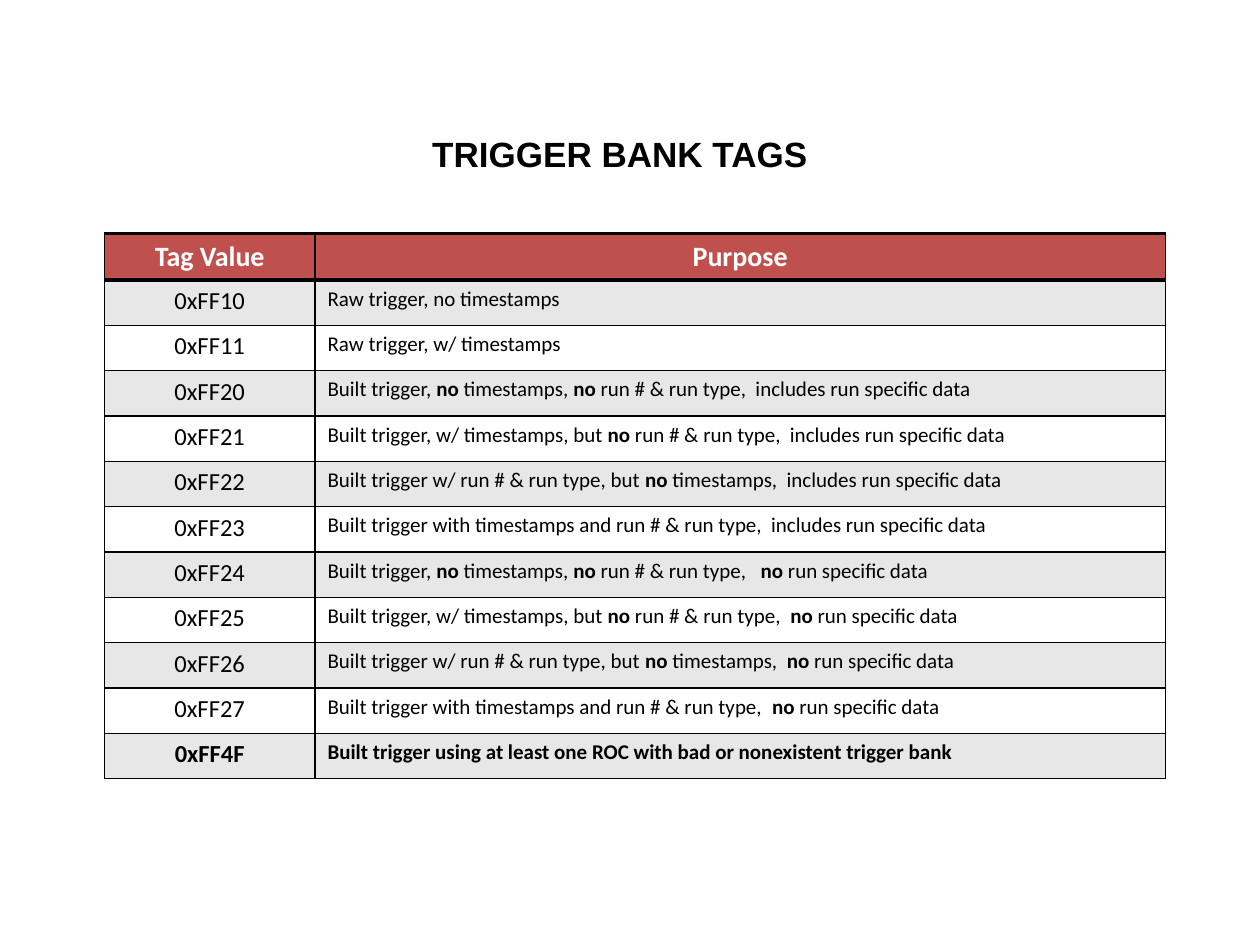
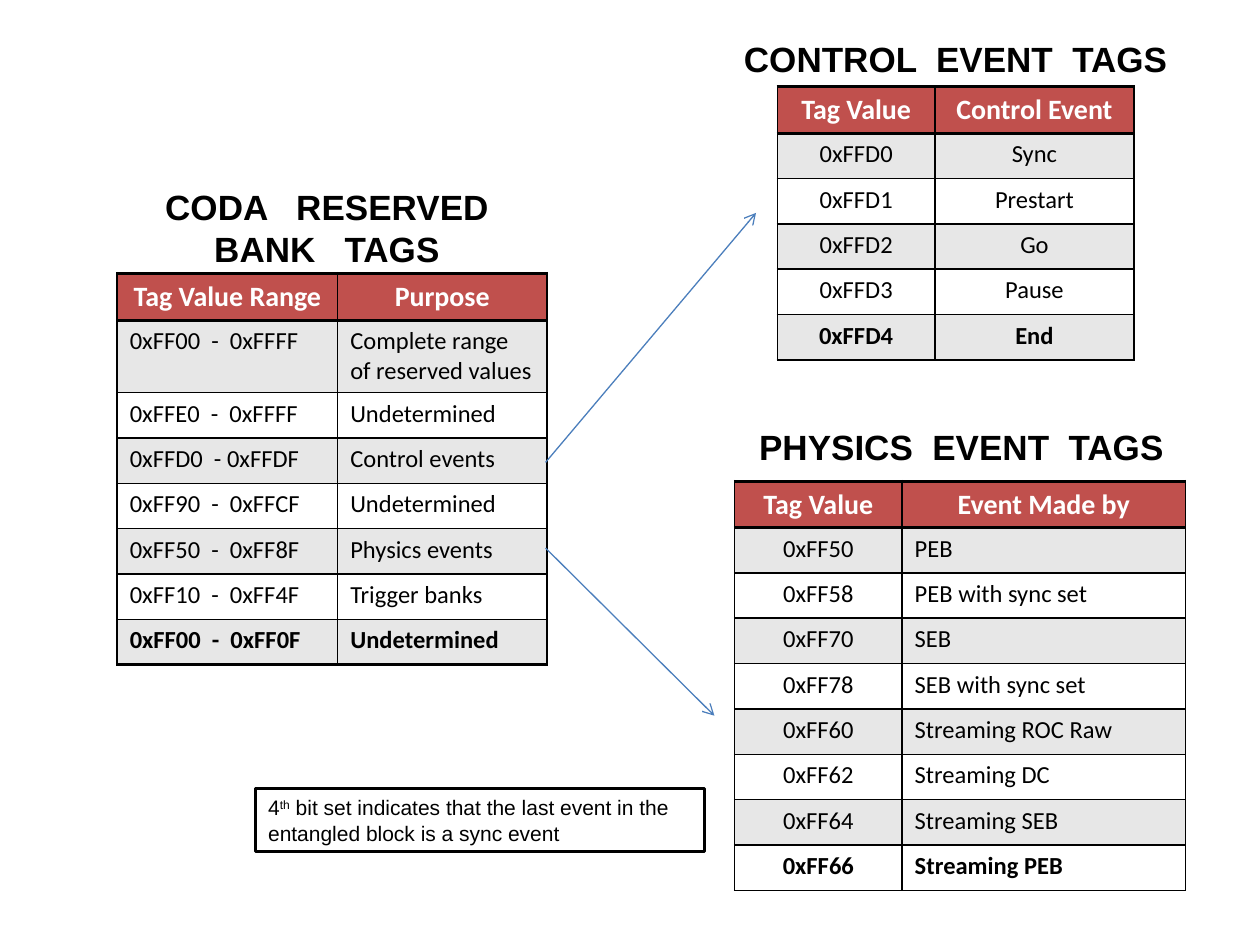
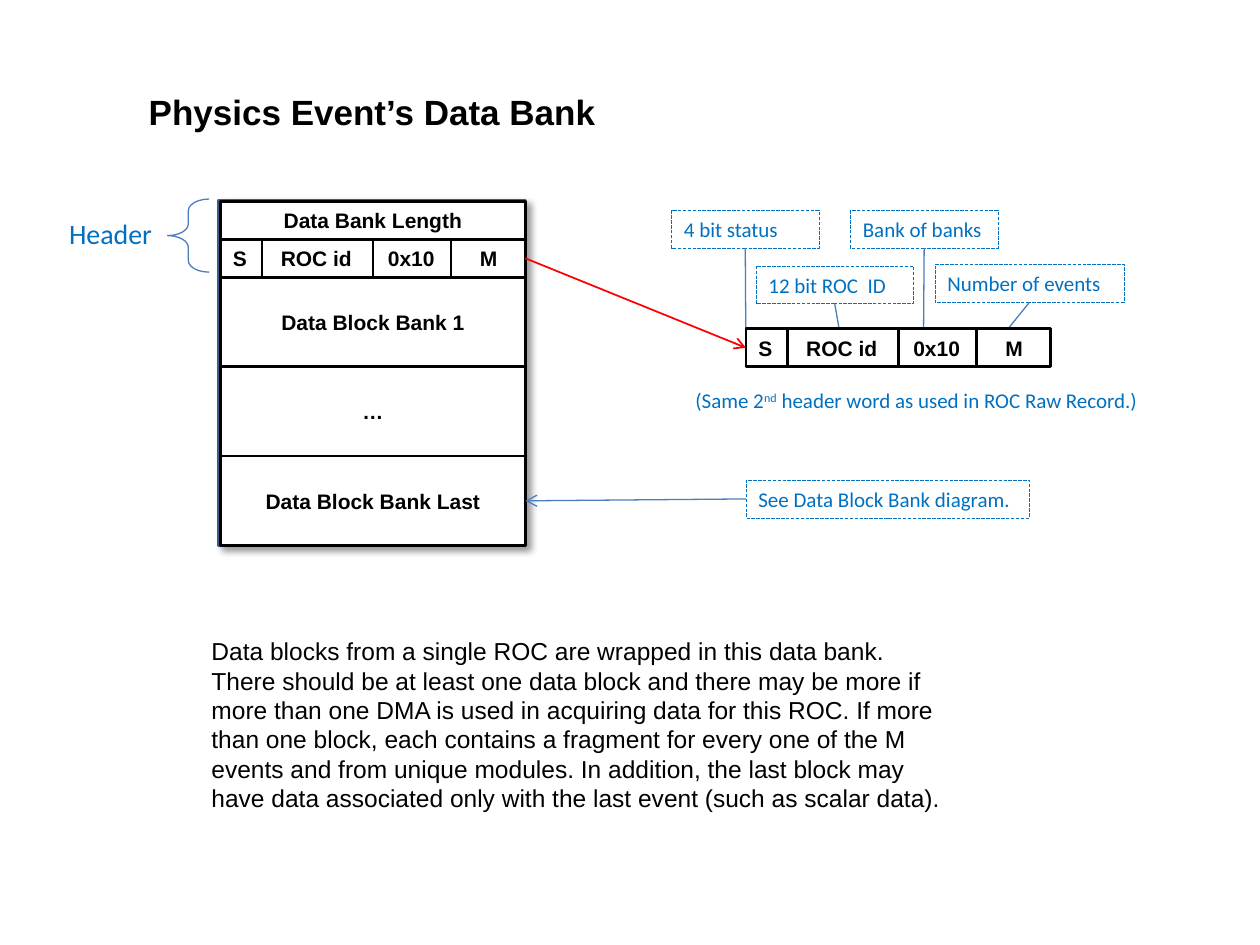
import dataclasses

import pptx
import pptx.dml.color
import pptx.enum.dml
import pptx.enum.shapes
import pptx.enum.text
import pptx.oxml.ns
import pptx.util
from lxml import etree

Inches = pptx.util.Inches
Pt = pptx.util.Pt
RGB = pptx.dml.color.RGBColor.from_string
SHAPE = pptx.enum.shapes.MSO_SHAPE
ALIGN = {"l": pptx.enum.text.PP_ALIGN.LEFT, "c": pptx.enum.text.PP_ALIGN.CENTER}
ANCHOR = pptx.enum.text.MSO_ANCHOR
TOP, LEFT, BOTTOM, RIGHT = range(4)


@dataclasses.dataclass(frozen=True)
class Style:
    size: int
    font: str
    color: str
    bold: bool = False
    align: str = "l"
    shadow: bool = False
    raised: bool = False


@dataclasses.dataclass(frozen=True)
class Theme:
    black: str = "000000"
    white: str = "FFFFFF"
    header: str = "C0504D"
    band: str = "E7E7E7"
    note: str = "0070C0"
    link: str = "4B7EBC"
    alert: str = "FF0000"
    frame: str = "3A5F8C"
    title: Style = Style(20, "Arial", "000000", True, "c", shadow=True)
    head_cell: Style = Style(16, "Calibri", "FFFFFF", True, "c")
    cell: Style = Style(14, "Calibri", "000000")
    small_cell: Style = Style(12, "Calibri", "000000")
    block: Style = Style(12, "Arial", "000000", True, "c")
    strip: Style = Style(12, "Arial", "000000", True)
    remark: Style = Style(12, "Arial", "000000", raised=True)
    body: Style = Style(14, "Arial", "000000")
    label: Style = Style(12, "Calibri", "0070C0", raised=True)
    big_label: Style = Style(16, "Calibri", "0070C0")
    row: float = 0.36


def element(tag, parent, **attrs):
    return etree.SubElement(parent, pptx.oxml.ns.qn(tag), attrs)


def add_shadow(effects, alpha):
    shadow = element("a:outerShdw", effects, blurRad=str(Pt(4)), dist=str(Pt(3)),
                     dir="2700000", algn="tl", rotWithShape="0")
    color = element("a:srgbClr", shadow, val="000000")
    element("a:alpha", color, val=str(alpha * 1000))


class Deck:
    def __init__(self, theme):
        self.theme = theme
        self.prs = pptx.Presentation()
        self.prs.slide_width, self.prs.slide_height = Inches(10), Inches(7.5)
        self.s = None

    def slide(self, title, box, align="c"):
        self.s = self.prs.slides.add_slide(self.prs.slide_layouts[5])
        sp = self.s.shapes.title
        sp.left, sp.top, sp.width, sp.height = map(Inches, box)
        sp.text_frame.auto_size = pptx.enum.text.MSO_AUTO_SIZE.NONE
        sp.text_frame.vertical_anchor = ANCHOR.TOP
        self.set_text(sp.text_frame, title, dataclasses.replace(self.theme.title, align=align))

    def set_text(self, tf, text, style):
        tf.word_wrap = True
        tf.text = text
        for p in tf.paragraphs:
            first, *rest = p.text.split("*")
            p.text = first
            for part in rest:
                p.add_run().text = part
            p.alignment = ALIGN[style.align]
            for i, r in enumerate(p.runs):
                self.style_run(r, style, i % 2 == 1)

    def style_run(self, r, style, marked):
        r.font.size = Pt(style.size)
        r.font.name = style.font
        r.font.bold = style.bold or (marked and not style.raised)
        r.font.color.rgb = RGB(style.color)
        rpr = r.font._element
        if marked and style.raised:
            rpr.set("baseline", "30000")
        if style.shadow:
            effects = element("a:effectLst", rpr)
            add_shadow(effects, 43)
            rpr.find(pptx.oxml.ns.qn("a:solidFill")).addnext(effects)

    def text(self, text, box, style):
        sp = self.s.shapes.add_textbox(*map(Inches, box))
        self.set_text(sp.text_frame, text, style)

    def shape(self, box, color, width, fill=None, kind=SHAPE.RECTANGLE):
        sp = self.s.shapes.add_shape(kind, *map(Inches, box))
        sp.shadow.inherit = False
        if fill:
            sp.fill.solid()
            sp.fill.fore_color.rgb = RGB(fill)
        else:
            sp.fill.background()
        sp.line.color.rgb = RGB(color)
        sp.line.width = Pt(width)
        return sp

    def frame(self, box):
        sp = self.shape(box, self.theme.frame, 2, self.theme.white)
        add_shadow(sp._element.spPr.find(pptx.oxml.ns.qn("a:effectLst")), 40)

    def block(self, text, box, style, fill=None):
        sp = self.shape(box, self.theme.black, 1.5, fill)
        sp.text_frame.vertical_anchor = ANCHOR.MIDDLE
        self.set_text(sp.text_frame, text, style)
        return sp

    def note(self, text, x, y, width):
        sp = self.shape((x, y, width, 0.3), self.theme.note, 0.25, self.theme.white)
        sp.line.dash_style = pptx.enum.dml.MSO_LINE.LONG_DASH
        self.set_text(sp.text_frame, text, self.theme.label)
        return sp

    def brace(self, box):
        sp = self.shape(box, self.theme.link, 0.75, kind=SHAPE.LEFT_BRACE)
        sp.adjustments[0] = 0.28

    def line(self, start, end, color, width=0.75, arrow=False):
        points = [pt if isinstance(pt[0], (int, float)) else (0, 0) for pt in (start, end)]
        cn = self.s.shapes.add_connector(pptx.enum.shapes.MSO_CONNECTOR.STRAIGHT,
                                         *(Inches(v) for pt in points for v in pt))
        if start is not points[0]:
            cn.begin_connect(*start)
        if end is not points[1]:
            cn.end_connect(*end)
        cn.line.color.rgb = RGB(color)
        cn.line.width = Pt(width)
        if arrow:
            element("a:tailEnd", cn.line._get_or_add_ln(), type="arrow")
        element("a:effectLst", cn._element.spPr)
        return cn

    def strip(self, x, y):
        sp = self.block("S\tROC id\t0x10\tM", (x, y, 2.42, 0.3), self.theme.strip, self.theme.white)
        ppr = sp.text_frame.paragraphs[0]._p.get_or_add_pPr()
        tabs = element("a:tabLst", ppr)
        for stop in (0.38, 1.23, 1.96):
            element("a:tab", tabs, pos=str(Inches(stop)), algn="l")
        for offset in (0.33, 1.21, 1.83):
            self.line((x + offset, y), (x + offset, y + 0.3), self.theme.black, 1.5)
        return sp

    def borders(self, cell, top, bottom):
        tcpr = cell._tc.get_or_add_tcPr()
        for i, (side, width) in enumerate(zip("LRTB", (1, 1, top, bottom))):
            ln = element(f"a:ln{side}", tcpr, w=str(Pt(width)))
            element("a:srgbClr", element("a:solidFill", ln), val=self.theme.black)
            tcpr.insert(i, ln)

    def table(self, x, y, widths, rows, styles, closing=1):
        t = self.theme
        last = len(rows) - 1
        gf = self.s.shapes.add_table(len(rows), len(widths), Inches(x), Inches(y),
                                     Inches(sum(widths)), Inches(t.row * len(rows)))
        table = gf.table
        for col, width in zip(table.columns, widths):
            col.width = Inches(width)
        for i, row in enumerate(rows):
            table.rows[i].height = Inches(t.row)
            fill = t.header if i == 0 else t.band if i % 2 else t.white
            top = 2 if i < 2 else 1
            bottom = 2 if i == 0 else closing if i == last else 1
            for j, text in enumerate(row):
                cell = table.cell(i, j)
                style = t.head_cell if i == 0 else dataclasses.replace(styles[j], bold=i == last)
                self.set_text(cell.text_frame, text, style)
                cell.fill.solid()
                cell.fill.fore_color.rgb = RGB(fill)
                self.borders(cell, top, bottom)


TRIGGER_TAGS = [
    ("Tag Value", "Purpose"),
    ("0xFF10", "Raw trigger, no timestamps"),
    ("0xFF11", "Raw trigger, w/ timestamps"),
    ("0xFF20", "Built trigger, *no* timestamps, *no* run # & run type,  includes run specific data"),
    ("0xFF21", "Built trigger, w/ timestamps, but *no* run # & run type,  includes run specific data"),
    ("0xFF22", "Built trigger w/ run # & run type, but *no* timestamps,  includes run specific data"),
    ("0xFF23", "Built trigger with timestamps and run # & run type,  includes run specific data"),
    ("0xFF24", "Built trigger, *no* timestamps, *no* run # & run type,   *no* run specific data"),
    ("0xFF25", "Built trigger, w/ timestamps, but *no* run # & run type,  *no* run specific data"),
    ("0xFF26", "Built trigger w/ run # & run type, but *no* timestamps,  *no* run specific data"),
    ("0xFF27", "Built trigger with timestamps and run # & run type,  *no* run specific data"),
    ("0xFF4F", "Built trigger using at least one ROC with bad or nonexistent trigger bank"),
]
RESERVED_TAGS = [
    ("Tag Value Range", "Purpose"),
    ("0xFF00  -  0xFFFF", "Complete range of reserved values"),
    ("0xFFE0  -  0xFFFF", "Undetermined"),
    ("0xFFD0  - 0xFFDF", "Control events"),
    ("0xFF90  -  0xFFCF", "Undetermined"),
    ("0xFF50  -  0xFF8F", "Physics events"),
    ("0xFF10  -  0xFF4F", "Trigger banks"),
    ("0xFF00  -  0xFF0F", "Undetermined"),
]
CONTROL_TAGS = [
    ("Tag Value", "Control Event"),
    ("0xFFD0", "Sync"),
    ("0xFFD1", "Prestart"),
    ("0xFFD2", "Go"),
    ("0xFFD3", "Pause"),
    ("0xFFD4", "End"),
]
PHYSICS_TAGS = [
    ("Tag Value", "Event Made by"),
    ("0xFF50", "PEB"),
    ("0xFF58", "PEB with sync set"),
    ("0xFF70", "SEB"),
    ("0xFF78", "SEB with sync set"),
    ("0xFF60", "Streaming ROC Raw"),
    ("0xFF62", "Streaming DC"),
    ("0xFF64", "Streaming SEB"),
    ("0xFF66", "Streaming PEB"),
]
DATA_BANK_TEXT = (
    "Data blocks from a single ROC are wrapped in this data bank. There should be at least one "
    "data block and there may be more if more than one DMA is used in acquiring data for this ROC. "
    "If more than one block, each contains a fragment for every one of the M events and from unique "
    "modules. In addition, the last block may have data associated only with the last event "
    "(such as scalar data)."
)


def trigger_slide(deck):
    t = deck.theme
    deck.slide("TRIGGER BANK TAGS", (3.33, 1, 3.25, 0.44), "l")
    centred = dataclasses.replace(t.cell, align="c")
    deck.table(0.83, 1.85, (1.67, 6.75), TRIGGER_TAGS, (centred, t.small_cell))


def tags_slide(deck):
    t = deck.theme
    centred = dataclasses.replace(t.cell, align="c")
    deck.slide("CODA   RESERVED\nBANK   TAGS", (1.18, 1.42, 2.83, 0.77))
    deck.table(0.93, 2.17, (1.75, 1.66), RESERVED_TAGS, (t.cell, t.cell), closing=2)
    deck.text("CONTROL  EVENT  TAGS", (5.67, 0.25, 3.83, 0.44), t.title)
    deck.table(6.17, 0.69, (1.25, 1.58), CONTROL_TAGS, (centred, centred))
    deck.text("PHYSICS  EVENT  TAGS", (5.67, 3.33, 3.92, 0.44), t.title)
    deck.table(5.83, 3.82, (1.33, 2.25), PHYSICS_TAGS, (centred, t.cell))
    deck.line((4.33, 3.67), (6, 1.69), t.link, arrow=True)
    deck.line((4.33, 4.35), (5.67, 5.68), t.link, arrow=True)
    deck.block("4*th* bit set indicates that the last event in the entangled block is a sync event",
               (2.03, 6.26, 3.56, 0.5), t.remark, t.white)


def data_bank_slide(deck):
    t = deck.theme
    deck.slide("Physics Event’s Data Bank", (1.08, 0.67, 3.83, 0.44), "l")
    deck.frame((1.74, 1.59, 2.43, 2.74))
    deck.block("Data Bank Length", (1.75, 1.6, 2.42, 0.3), t.block)
    for i, name in enumerate(("Data Block Bank 1", "…", "Data Block Bank Last")):
        last_block = deck.block(name, (1.75, 2.2 + 0.71 * i, 2.42, 0.71), t.block)
    header_word = deck.strip(1.75, 1.9)

    status = deck.note("4 bit status", 5.33, 1.67, 1.17)
    bank = deck.note("Bank of banks", 6.75, 1.67, 1.17)
    roc = deck.note("12 bit ROC  ID", 6, 2.11, 1.25)
    events = deck.note("Number of events", 7.42, 2.1, 1.5)
    status_line = deck.line((status, BOTTOM), (5.92, 2.76), t.link)
    for note, x in ((roc, 6.66), (bank, 7.33), (events, 8)):
        deck.line((note, BOTTOM), (x, 2.61), t.link)
    detail_word = deck.strip(5.92, 2.61)
    status_line.end_connect(detail_word, LEFT)
    deck.line((header_word, RIGHT), (detail_word, LEFT), t.alert, 1, arrow=True)
    deck.text("(Same 2*nd* header word as used in ROC Raw Record.)", (5.42, 3.03, 4.08, 0.3), t.label)

    diagram = deck.note("See Data Block Bank diagram.", 5.92, 3.81, 2.25)
    deck.line((diagram, LEFT), (last_block, RIGHT), t.link, arrow=True)
    deck.text("Header", (0.45, 1.67, 0.92, 0.37), t.big_label)
    deck.brace((1.33, 1.58, 0.33, 0.58))
    deck.text(DATA_BANK_TEXT, (1.58, 5, 6, 1.51), t.body)


def main():
    deck = Deck(Theme())
    trigger_slide(deck)
    tags_slide(deck)
    data_bank_slide(deck)
    deck.prs.save("out.pptx")


if __name__ == "__main__":
    main()
